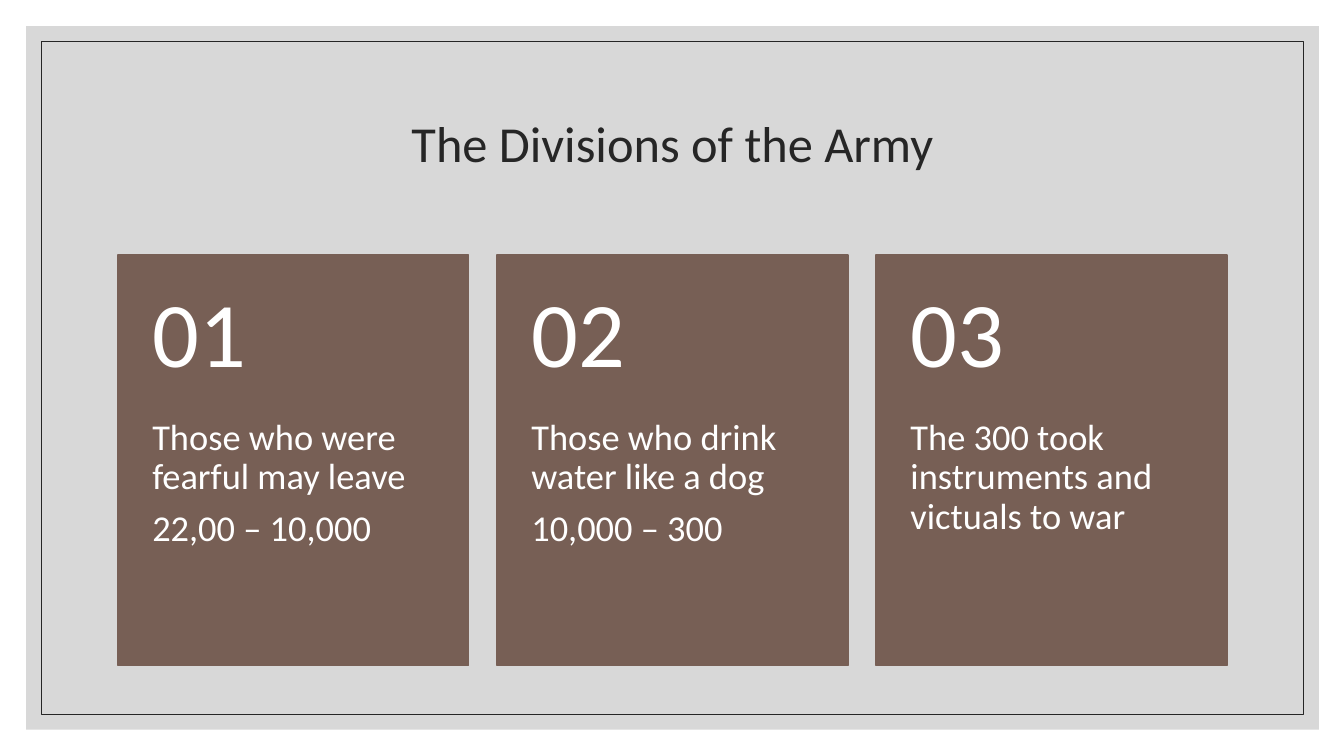
from lxml.etree import SubElement
from pptx import Presentation
from pptx.dml.color import RGBColor
from pptx.enum.shapes import MSO_SHAPE
from pptx.enum.text import MSO_ANCHOR, PP_ALIGN
from pptx.oxml.ns import qn
from pptx.util import Inches, Pt

PANEL_GREY = RGBColor(0xBF, 0xBF, 0xBF)
INK = RGBColor(0x26, 0x26, 0x26)
BROWN = RGBColor(0x77, 0x5F, 0x55)
WHITE = RGBColor(0xFF, 0xFF, 0xFF)

CARD_LEFT, CARD_TOP, CARD_WIDTH, CARD_HEIGHT = 1.17, 2.53, 3.48, 4.07
CARD_STEP = 3.76
NUMBER_HEIGHT = 1.63

DIVISIONS = [
    ["Those who were fearful may leave", "22,00 – 10,000"],
    ["Those who drink water like a dog", "10,000 – 300"],
    ["The 300 took instruments and victuals to war"],
]


def write_text(frame, paragraphs, *, size, color, font="Calibri",
               align=PP_ALIGN.LEFT, anchor=MSO_ANCHOR.TOP, space_after=0):
    """Fill a text frame; space_after is a fraction of the text size."""
    frame.word_wrap = True
    frame.vertical_anchor = anchor
    for index, text in enumerate(paragraphs):
        paragraph = frame.add_paragraph() if index else frame.paragraphs[0]
        paragraph.alignment = align
        paragraph.line_spacing = 0.9
        paragraph.space_after = Pt(round(size * space_after))
        run = paragraph.add_run()
        run.text = text
        run.font.name = font
        run.font.size = Pt(size)
        run.font.color.rgb = color


class SlideBuilder:
    def __init__(self, slide):
        self.slide = slide

    def rectangle(self, *box, fill=None, opacity=100, line=None, line_width=1):
        shape = self.slide.shapes.add_shape(MSO_SHAPE.RECTANGLE, *map(Inches, box))
        shape.shadow.inherit = False
        if fill is None:
            shape.fill.background()
        else:
            shape.fill.solid()
            shape.fill.fore_color.rgb = fill
            if opacity < 100:
                color = shape.element.spPr.find(qn("a:solidFill"))[0]
                SubElement(color, qn("a:alpha"), val=str(opacity * 1000))
        if line is None:
            shape.line.fill.background()
        else:
            shape.line.color.rgb = line
            shape.line.width = Pt(line_width)

    def title(self, text, *box):
        """Place the title placeholder in front of what is drawn so far."""
        title = self.slide.shapes.title
        self.slide.shapes.element.append(title.element)
        title.left, title.top, title.width, title.height = map(Inches, box)
        write_text(title.text_frame, [text], size=36, color=INK,
                   align=PP_ALIGN.CENTER, anchor=MSO_ANCHOR.MIDDLE)

    def text(self, paragraphs, *box, top_inset, bottom_inset, **style):
        frame = self.slide.shapes.add_textbox(*map(Inches, box)).text_frame
        frame.margin_left = frame.margin_right = Inches(0.34)
        frame.margin_top = Inches(top_inset)
        frame.margin_bottom = Inches(bottom_inset)
        write_text(frame, paragraphs, color=WHITE, space_after=0.35, **style)

    def card(self, number, paragraphs):
        left = CARD_LEFT + (number - 1) * CARD_STEP
        self.rectangle(left, CARD_TOP, CARD_WIDTH, CARD_HEIGHT, fill=BROWN, line=BROWN)
        self.text(paragraphs, left, CARD_TOP + NUMBER_HEIGHT, CARD_WIDTH,
                  CARD_HEIGHT - NUMBER_HEIGHT, top_inset=0, bottom_inset=0.36, size=26)
        self.text([f"{number:02}"], left, CARD_TOP, CARD_WIDTH, NUMBER_HEIGHT,
                  top_inset=0.18, bottom_inset=0.18, size=66, anchor=MSO_ANCHOR.MIDDLE)


def main():
    presentation = Presentation()
    presentation.slide_width = Inches(13.33)
    presentation.slide_height = Inches(7.5)
    title_only = presentation.slide_layouts[5]
    builder = SlideBuilder(presentation.slides.add_slide(title_only))

    builder.rectangle(0.26, 0.26, 12.82, 6.98, fill=PANEL_GREY, opacity=60)
    builder.rectangle(0.41, 0.41, 12.52, 6.68, line=INK, line_width=0.5)
    builder.title("The Divisions of the Army", 1.17, 0.7, 11, 1.5)
    for number, paragraphs in enumerate(DIVISIONS, start=1):
        builder.card(number, paragraphs)

    presentation.save("out.pptx")


if __name__ == "__main__":
    main()
